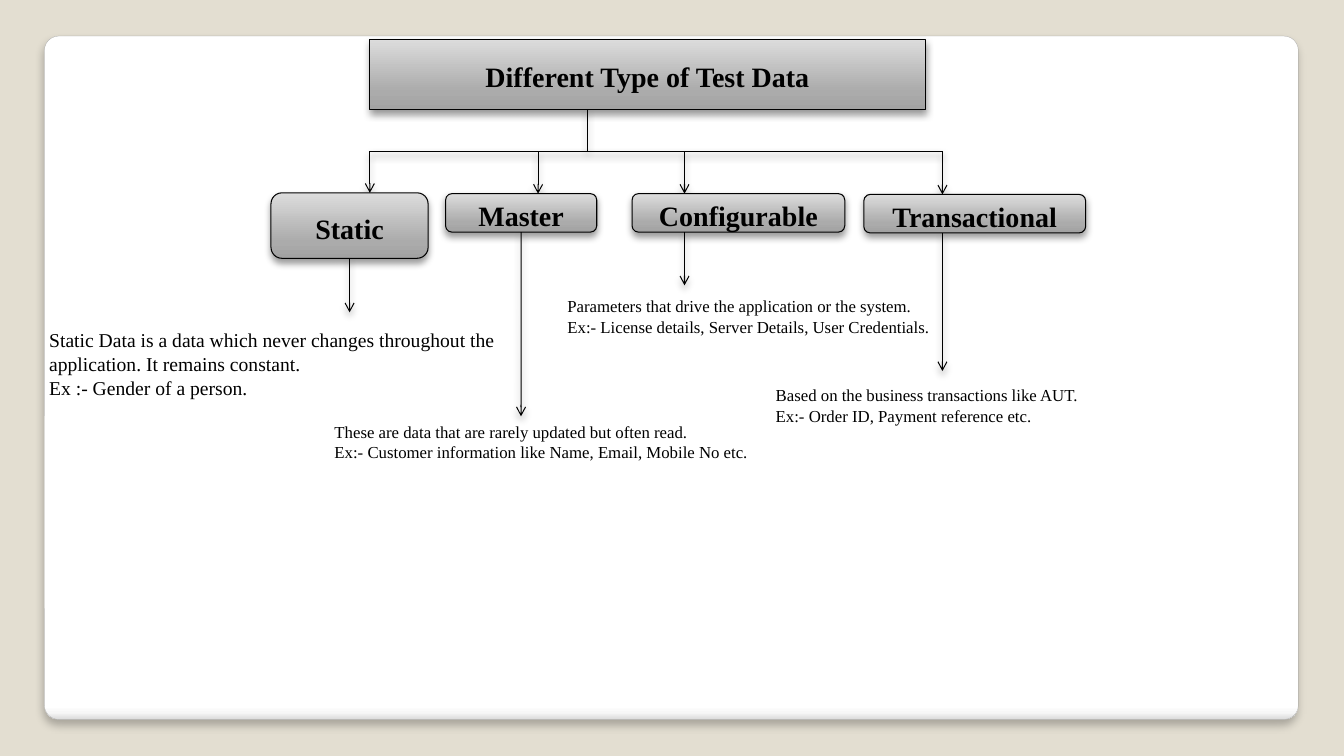
from pptx import Presentation, util as u
from pptx.dml.color import RGBColor
from pptx.enum import shapes, text
from pptx.oxml import parse_xml
from pptx.oxml.ns import nsdecls, qn

COLORS = {"background": "E3DED1", "panel_line": "A4A4A4", "ink": "000000"}
PANEL_STOPS = [(0, "FFFFFF"), (98, "FFFFFF"), (99, "F7F7F7"), (100, "DADADA")]
BOX_STOPS = [(0, "A2A2A2"), (25, "ABABAB"), (100, "DCDCDC")]
FONT = "Times New Roman"
BUS_Y = 3.81

# Lengths in cm. box and note: left, top, width, height
TYPES = [
    dict(name="Static", box=(6.83, 4.86, 3.96, 1.65), drop_x=9.32,
         arrow_x=8.81, arrow_end=7.87, note=(0.99, 8.15, 12.57, 2.06), size=14,
         lines=["Static Data is a data which never changes throughout the "
                "application. It remains constant.",
                "Ex :- Gender of a person."]),
    dict(name="Master", box=(11.23, 4.88, 3.81, 0.97), drop_x=13.56,
         arrow_x=13.13, arrow_end=10.49, note=(8.18, 10.49, 16.94, 1.27), size=12,
         lines=["These are data that are rarely updated but often read.",
                "Ex:- Customer information like Name, Email, Mobile No etc."]),
    dict(name="Configurable", box=(15.93, 4.88, 5.36, 0.97), drop_x=17.25,
         arrow_x=17.25, arrow_end=7.19, note=(14.05, 7.34, 16.94, 1.27), size=12,
         lines=["Parameters that drive the application or the system.",
                "Ex:- License details, Server Details, User Credentials."]),
    dict(name="Transactional", box=(21.77, 4.9, 5.59, 0.97), drop_x=23.75,
         arrow_x=23.75, arrow_end=9.35, note=(19.3, 9.58, 14.4, 1.27), size=12,
         lines=["Based on the business transactions like AUT.",
                "Ex:- Order ID, Payment reference etc."]),
]


def color(name):
    return RGBColor.from_string(COLORS[name])


def fill_gradient(sp, stops, angle):
    """Fill with any number of stops; angle counts anticlockwise."""
    sp.fill.gradient()
    sp.fill.gradient_angle = angle
    gs_list = sp._element.spPr.find(qn("a:gradFill")).find(qn("a:gsLst"))
    for gs in list(gs_list):
        gs_list.remove(gs)
    for pos, rgb in stops:
        gs_list.append(parse_xml(
            f'<a:gs {nsdecls("a")} pos="{pos * 1000}"><a:srgbClr val="{rgb}"/></a:gs>'))


def set_line(sp, name, width):
    sp.line.color.rgb = color(name)
    sp.line.width = u.Pt(width)


def add_shadow(sp, alpha=40, blur=5.2, dist=3):
    """Add a downward shadow; call it after the line is set."""
    sp._element.spPr.append(parse_xml(
        f'<a:effectLst {nsdecls("a")}><a:outerShdw blurRad="{u.Pt(blur)}" '
        f'dist="{u.Pt(dist)}" dir="5400000" rotWithShape="0">'
        f'<a:srgbClr val="{COLORS["ink"]}"><a:alpha val="{alpha * 1000}"/></a:srgbClr>'
        '</a:outerShdw></a:effectLst>'))


def write(p, words, size, bold=False):
    r = p.add_run()
    r.text = words
    for key, value in dict(name=FONT, size=u.Pt(size), bold=bold).items():
        setattr(r.font, key, value)
    r.font.color.rgb = color("ink")


def add_panel(s, box):
    sp = s.shapes.add_shape(shapes.MSO_SHAPE.ROUNDED_RECTANGLE, *map(u.Cm, box))
    sp.adjustments[0] = 0.021
    fill_gradient(sp, PANEL_STOPS, 270)
    set_line(sp, "panel_line", 0.16)
    add_shadow(sp, alpha=25, blur=6, dist=4)
    s.shapes._spTree.insert(2, sp._element)  # behind the title


def format_box(sp, words):
    fill_gradient(sp, BOX_STOPS, 90)
    set_line(sp, "ink", 0.75)
    add_shadow(sp)
    tf = sp.text_frame
    for key, value in dict(word_wrap=True, auto_size=text.MSO_AUTO_SIZE.NONE,
                           vertical_anchor=text.MSO_ANCHOR.MIDDLE).items():
        setattr(tf, key, value)
    p = tf.paragraphs[0]
    for key, value in dict(alignment=text.PP_ALIGN.CENTER, line_spacing=1.15,
                           space_after=u.Pt(10)).items():
        setattr(p, key, value)
    write(p, words, 20, bold=True)


def place_title(s, box, words):
    sp = s.shapes.title
    for key, value in zip(("left", "top", "width", "height"), box):
        setattr(sp, key, u.Cm(value))
    sp._element.spPr.append(parse_xml(
        f'<a:prstGeom {nsdecls("a")} prst="roundRect"><a:avLst/></a:prstGeom>'))
    format_box(sp, words)


def add_line(s, x1, y1, x2, y2, arrow=False):
    c = s.shapes.add_connector(shapes.MSO_CONNECTOR.STRAIGHT,
                               *map(u.Cm, (x1, y1, x2, y2)))
    set_line(c, "ink", 0.75)
    if arrow:
        c.line._get_or_add_ln().append(
            parse_xml(f'<a:tailEnd {nsdecls("a")} type="arrow"/>'))
    add_shadow(c)
    return c


def add_note(s, box, lines, size):
    tf = s.shapes.add_textbox(*map(u.Cm, box)).text_frame
    tf.word_wrap = True
    for i, line in enumerate(lines):
        p = tf.add_paragraph() if i else tf.paragraphs[0]
        write(p, line, size)


def add_branch(s, name, box, drop_x, arrow_x, arrow_end, note, lines, size):
    """Draw one data type: arrow from the bus, box, arrow down and note."""
    left, top, width, height = box
    add_line(s, drop_x, BUS_Y, drop_x, top, arrow=True)
    sp = s.shapes.add_shape(shapes.MSO_SHAPE.ROUNDED_RECTANGLE, *map(u.Cm, box))
    format_box(sp, name)
    c = add_line(s, arrow_x, top + height, arrow_x, arrow_end, arrow=True)
    if abs(arrow_x - left - width / 2) < 0.02:
        c.begin_connect(sp, 2)
    add_note(s, note, lines, size)


def add_tree(s, title_box):
    left, top, width, height = title_box
    place_title(s, title_box, "Different Type of Test Data")
    root_x = left + 5.49
    add_line(s, root_x, top + height, root_x, BUS_Y)
    add_line(s, TYPES[0]["drop_x"], BUS_Y, TYPES[-1]["drop_x"], BUS_Y)
    for data_type in TYPES:
        add_branch(s, **data_type)


def main():
    prs = Presentation()
    prs.slide_width, prs.slide_height = u.Cm(33.87), u.Cm(19.05)
    s = prs.slides.add_slide(prs.slide_layouts[5])
    s.background.fill.solid()
    s.background.fill.fore_color.rgb = color("background")
    add_panel(s, (1.12, 0.91, 31.6, 17.22))
    add_tree(s, (9.32, 0.99, 14, 1.76))
    prs.save("out.pptx")


if __name__ == "__main__":
    main()
